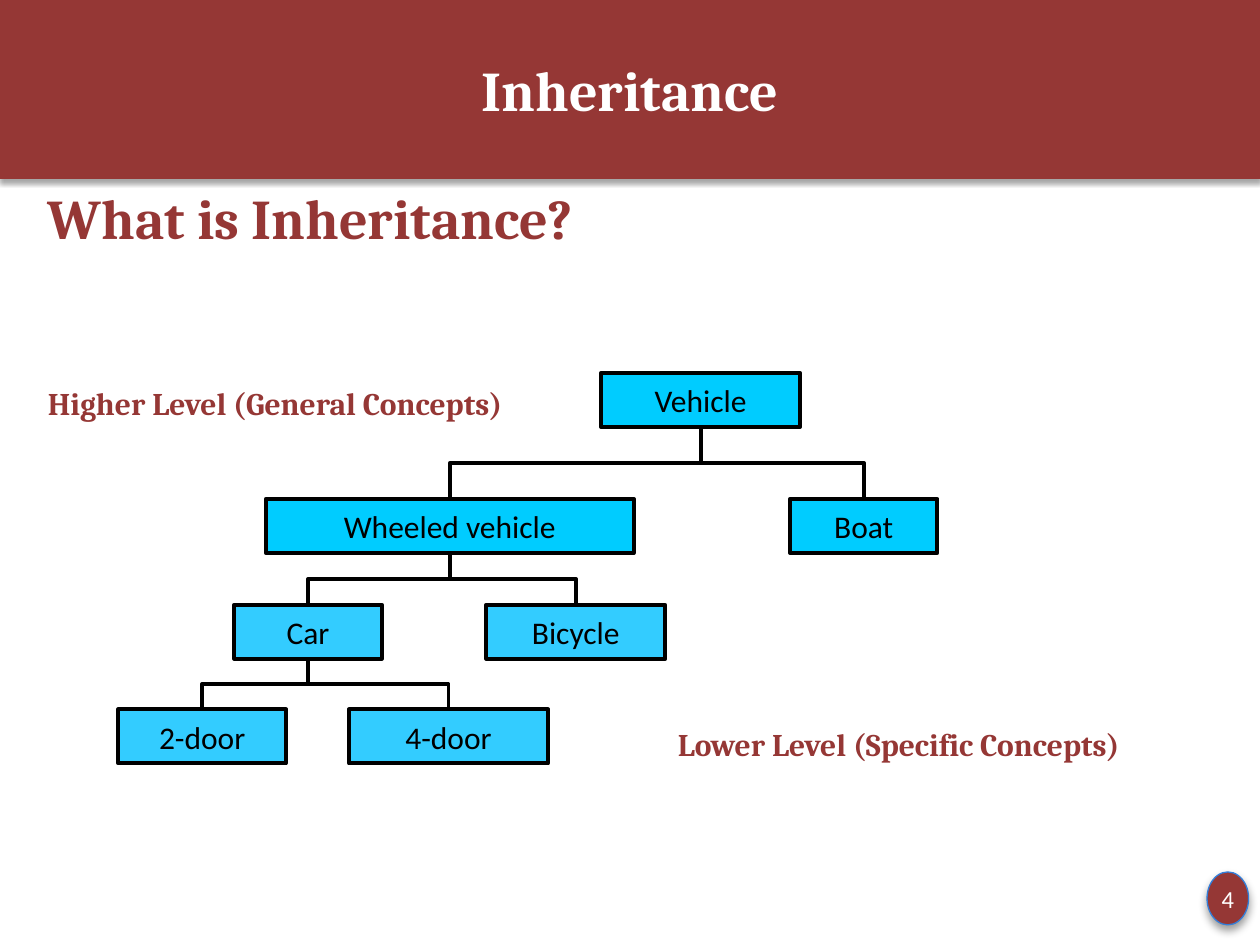
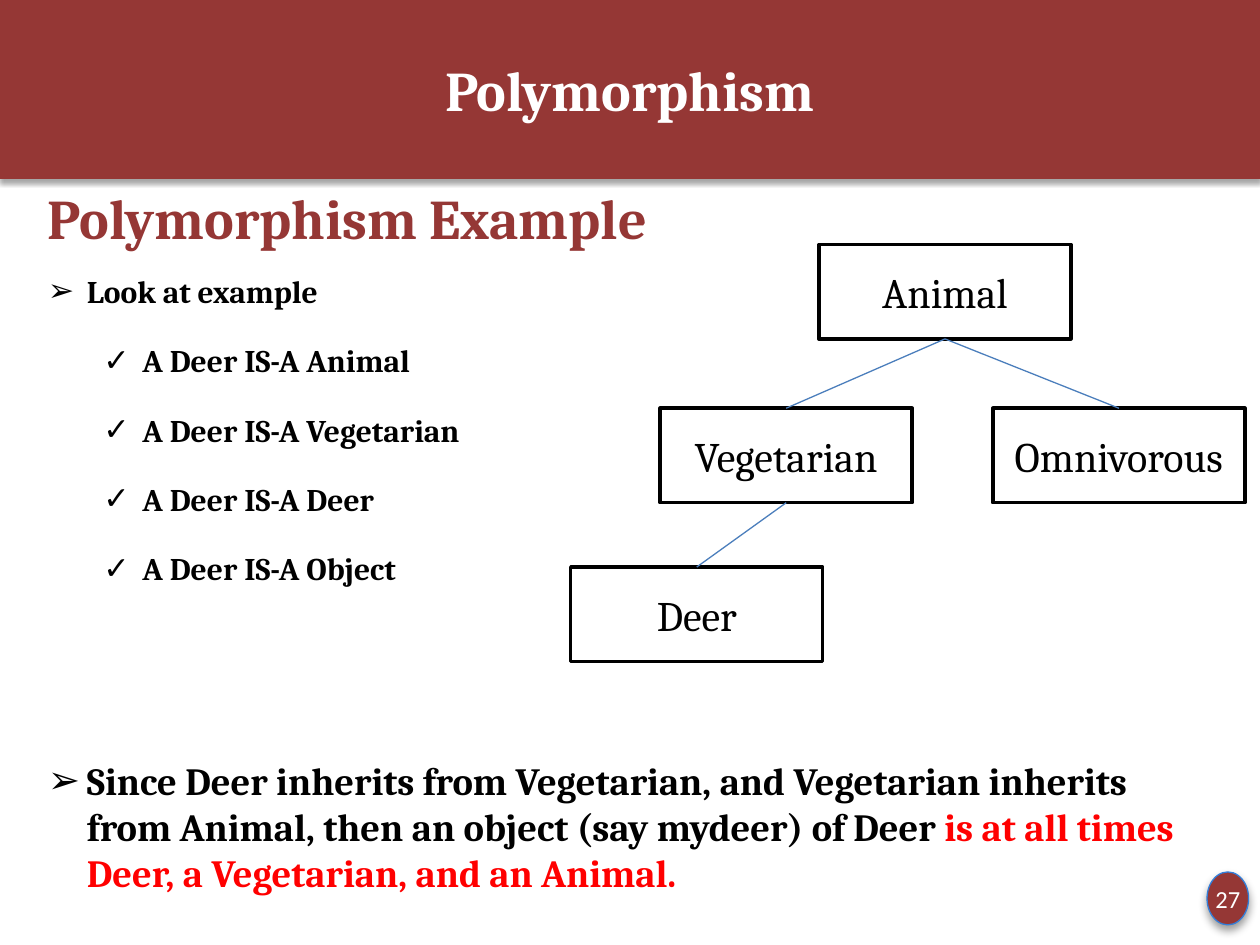
from dataclasses import dataclass

from lxml import etree
from pptx import Presentation
from pptx.dml.color import RGBColor
from pptx.enum.shapes import MSO_CONNECTOR, MSO_SHAPE
from pptx.enum.text import MSO_ANCHOR, MSO_AUTO_SIZE, PP_ALIGN
from pptx.oxml.ns import qn
from pptx.util import Inches, Pt

CENTER, LEFT = PP_ALIGN.CENTER, PP_ALIGN.LEFT
MIDDLE, TOP = MSO_ANCHOR.MIDDLE, MSO_ANCHOR.TOP
RECTANGLE, OVAL = MSO_SHAPE.RECTANGLE, MSO_SHAPE.OVAL
STRAIGHT, ELBOW = MSO_CONNECTOR.STRAIGHT, MSO_CONNECTOR.ELBOW
BOTTOM_SITE, TOP_SITE = 2, 0


@dataclass(frozen=True)
class Theme:
    brick: str = "953735"
    white: str = "FFFFFF"
    black: str = "000000"
    red: str = "FF0000"
    cyan: str = "00CCFF"
    sky: str = "33CCFF"
    badge_edge: str = "337ED9"
    link_blue: str = "4B7EBC"
    serif: str = "Cambria"
    sans: str = "Calibri"
    heading: int = 32
    node: int = 24
    conclusion: int = 22
    text: int = 18
    number: int = 14


THEME = Theme()
HEADING = dict(size=THEME.heading, color=THEME.brick)
LEVEL_LABEL = dict(size=THEME.text, color=THEME.brick)
POINT = dict(bullet="➢", indent=0.31, before=12, after=6)
SUBPOINT = dict(bullet="✓", indent=0.75, before=12, after=6, level=1)

# Body items are (text or list of (text, colour), format).
# Nodes are name: (left, top, width, fill); links are (parent, child).
PAGES = [
    dict(
        title="Inheritance",
        number="4",
        body_height=5.25,
        body=[
            ("What is Inheritance?", HEADING),
            ("Higher Level (General Concepts)", dict(LEVEL_LABEL, before=76)),
            ("Lower Level (Specific Concepts)", dict(LEVEL_LABEL, before=173, indent=5, hanging=0)),
        ],
        nodes={
            "Vehicle": (4.77, 2.96, 1.58, THEME.cyan),
            "Wheeled vehicle": (2.11, 3.96, 2.92, THEME.cyan),
            "Boat": (6.27, 3.96, 1.17, THEME.cyan),
            "Car": (1.86, 4.8, 1.17, THEME.sky),
            "Bicycle": (3.86, 4.8, 1.42, THEME.sky),
            "4-door": (2.77, 5.63, 1.58, THEME.sky),
            "2-door": (0.94, 5.63, 1.33, THEME.sky),
        },
        node_style=dict(height=0.43, border=2.25, size=THEME.text, font=THEME.sans),
        links=[
            ("Vehicle", "Wheeled vehicle"), ("Vehicle", "Boat"),
            ("Wheeled vehicle", "Car"), ("Wheeled vehicle", "Bicycle"),
            ("Car", "2-door"), ("Car", "4-door"),
        ],
        link_style=dict(kind=ELBOW, color=THEME.black, weight=2.25),
    ),
    dict(
        title="Polymorphism",
        number="27",
        body_height=3.68,
        body=[
            ("Polymorphism Example", HEADING),
            ("Look at example", POINT),
            ("A Deer IS-A Animal", SUBPOINT),
            ("A Deer IS-A Vegetarian", SUBPOINT),
            ("A Deer IS-A Deer", SUBPOINT),
            ("A Deer IS-A Object", SUBPOINT),
            (
                [
                    ("Since Deer inherits from Vegetarian, and Vegetarian inherits from Animal, "
                     "then an object (say mydeer) of Deer ", THEME.black),
                    ("is at all times Deer, a Vegetarian, and an Animal.", THEME.red),
                ],
                dict(POINT, size=THEME.conclusion, before=91),
            ),
        ],
        nodes={
            "Animal": (6.5, 1.94, 2, None),
            "Vegetarian": (5.24, 3.24, 2, None),
            "Omnivorous": (7.88, 3.24, 2, None),
            "Deer": (4.53, 4.5, 2, None),
        },
        node_style=dict(height=0.75, border=2, size=THEME.node, font=THEME.serif),
        links=[("Animal", "Vegetarian"), ("Animal", "Omnivorous"), ("Vegetarian", "Deer")],
        link_style=dict(kind=STRAIGHT, color=THEME.link_blue, weight=0.75),
    ),
]


def rgb(color):
    return RGBColor.from_string(color)


def place(shape, left, top, width, height):
    shape.left, shape.top = Inches(left), Inches(top)
    shape.width, shape.height = Inches(width), Inches(height)


def paint(shape, fill=None, line=None, weight=0.75):
    if fill:
        shape.fill.solid()
        shape.fill.fore_color.rgb = rgb(fill)
    else:
        shape.fill.background()
    if line:
        shape.line.color.rgb = rgb(line)
        shape.line.width = Pt(weight)
    shape.shadow.inherit = False


def add_drop_shadow(shape, blur, distance, opacity):
    """Cast a black shadow straight down from a painted shape."""
    effects = shape._element.spPr.find(qn("a:effectLst"))
    shadow = etree.SubElement(effects, qn("a:outerShdw"), blurRad=str(Pt(blur)),
                              dist=str(Pt(distance)), dir="5400000", rotWithShape="0")
    color = etree.SubElement(shadow, qn("a:srgbClr"), val=THEME.black)
    etree.SubElement(color, qn("a:alpha"), val=str(opacity * 1000))


def prepare_frame(shape, anchor=MIDDLE, wrap=True):
    frame = shape.text_frame
    frame.auto_size = MSO_AUTO_SIZE.NONE
    frame.word_wrap = wrap
    frame.vertical_anchor = anchor
    return frame


def set_bullet(para, bullet, indent, hanging):
    properties = para._p.get_or_add_pPr()
    properties.set("marL", str(Inches(indent)))
    properties.set("indent", str(-Inches(hanging)))
    if bullet:
        etree.SubElement(properties, qn("a:buChar"), char=bullet)
    else:
        etree.SubElement(properties, qn("a:buNone"))


def write(para, text, size=THEME.text, color=THEME.black, font=THEME.serif, bold=True,
          align=LEFT, before=0, after=0, level=0, bullet=None, indent=0, hanging=None):
    """Fill a paragraph with one text, or with a list of (text, colour) spans."""
    para.alignment, para.level = align, level
    para.space_before, para.space_after = Pt(before), Pt(after)
    if hanging is None:
        hanging = 0.31 if bullet else 0
    set_bullet(para, bullet, indent, hanging)
    for words, shade in [(text, color)] if isinstance(text, str) else text:
        span = para.add_run()
        span.text = words
        span.font.size, span.font.name, span.font.bold = Pt(size), font, bold
        span.font.color.rgb = rgb(shade)


def add_title(page, text):
    band = page.shapes.title
    place(band, 0, 0, 10, 1.42)
    paint(band, THEME.brick)
    add_drop_shadow(band, 3.1, 1.8, 35)
    write(prepare_frame(band).paragraphs[0], text, size=THEME.heading,
          color=THEME.white, align=CENTER)


def add_body(page, items, height):
    body = page.placeholders[1]
    place(body, 0.28, 1.41, 9.45, height)
    frame = prepare_frame(body, anchor=TOP)
    for index, (text, style) in enumerate(items):
        para = frame.add_paragraph() if index else frame.paragraphs[0]
        write(para, text, **style)


def add_box(page, kind, text, area, fill, line, weight, **style):
    box = page.shapes.add_shape(kind, *map(Inches, area))
    paint(box, fill, line, weight)
    frame = prepare_frame(box, wrap=False)
    write(frame.paragraphs[0], text, bold=False, align=CENTER, **style)
    return box


def add_page_number(page, number):
    badge = add_box(page, OVAL, number, (9.58, 6.92, 0.33, 0.42), THEME.brick,
                    THEME.badge_edge, 0.75, size=THEME.number, font=THEME.sans,
                    color=THEME.white)
    add_drop_shadow(badge, 5.2, 3, 40)
    frame = badge.text_frame
    frame.margin_left = frame.margin_right = frame.margin_top = frame.margin_bottom = 0


def turn_downward(link):
    """Rotate an elbow so that it leaves its parent and meets its child vertically."""
    middle_x = (link.begin_x + link.end_x) // 2
    middle_y = (link.begin_y + link.end_y) // 2
    drop, reach = link.end_y - link.begin_y, link.end_x - link.begin_x
    link.width, link.height = drop, abs(reach)
    link.left, link.top = middle_x - drop // 2, middle_y - abs(reach) // 2
    frame = link._element.spPr.find(qn("a:xfrm"))
    frame.set("rot", "16200000" if reach > 0 else "5400000")
    frame.set("flipH", "1" if reach > 0 else "0")


def add_link(page, parent, child, kind, color, weight):
    link = page.shapes.add_connector(kind, 0, 0, 0, 0)
    link.begin_connect(parent, BOTTOM_SITE)
    link.end_connect(child, TOP_SITE)
    if kind == ELBOW:
        turn_downward(link)
    link.line.color.rgb = rgb(color)
    link.line.width = Pt(weight)
    etree.SubElement(link._element.spPr, qn("a:effectLst"))


def add_tree(page, nodes, node_style, links, link_style):
    style = dict(node_style)
    height, border = style.pop("height"), style.pop("border")
    boxes = {
        name: add_box(page, RECTANGLE, name, (left, top, width, height), fill,
                      THEME.black, border, **style)
        for name, (left, top, width, fill) in nodes.items()
    }
    for parent, child in links:
        add_link(page, boxes[parent], boxes[child], **link_style)


def main():
    deck = Presentation()
    deck.slide_width, deck.slide_height = Inches(10), Inches(7.5)
    for content in PAGES:
        page = deck.slides.add_slide(deck.slide_layouts[1])
        add_title(page, content["title"])
        add_body(page, content["body"], content["body_height"])
        add_page_number(page, content["number"])
        add_tree(page, content["nodes"], content["node_style"],
                 content["links"], content["link_style"])
    deck.save("out.pptx")


if __name__ == "__main__":
    main()
